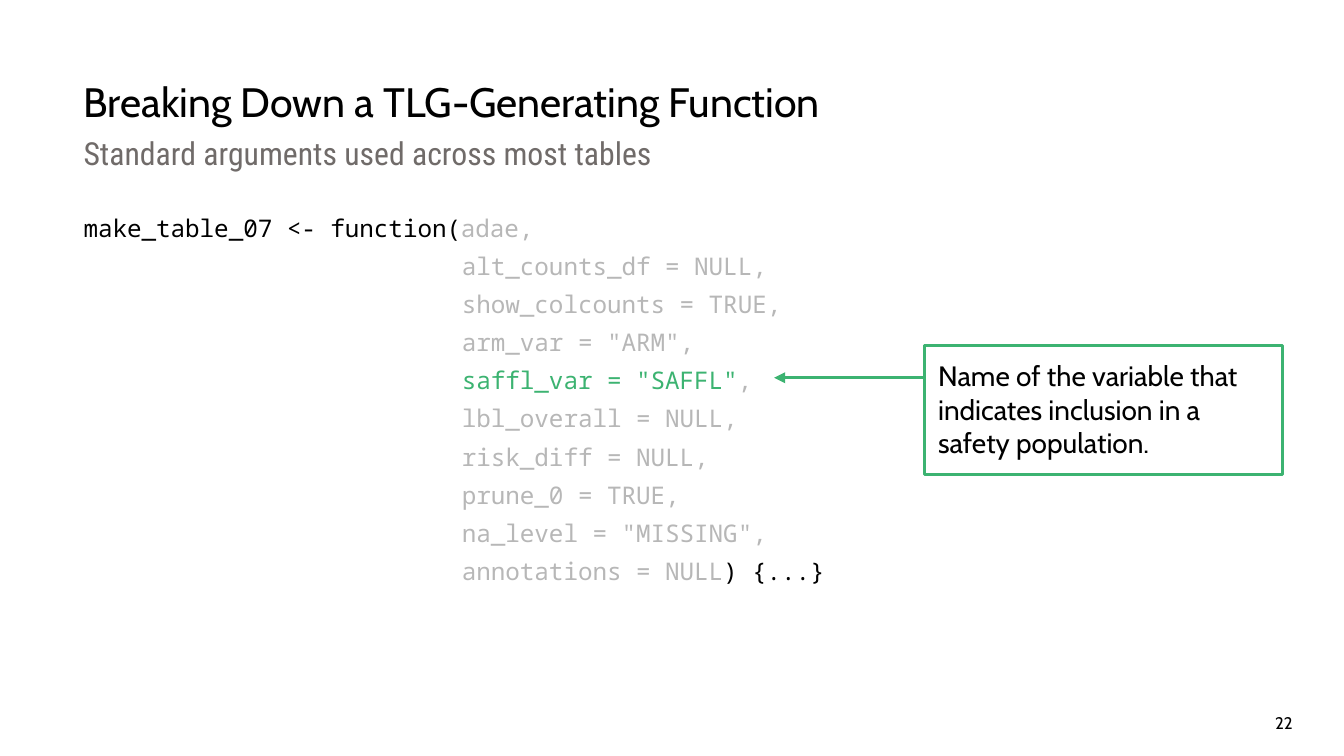
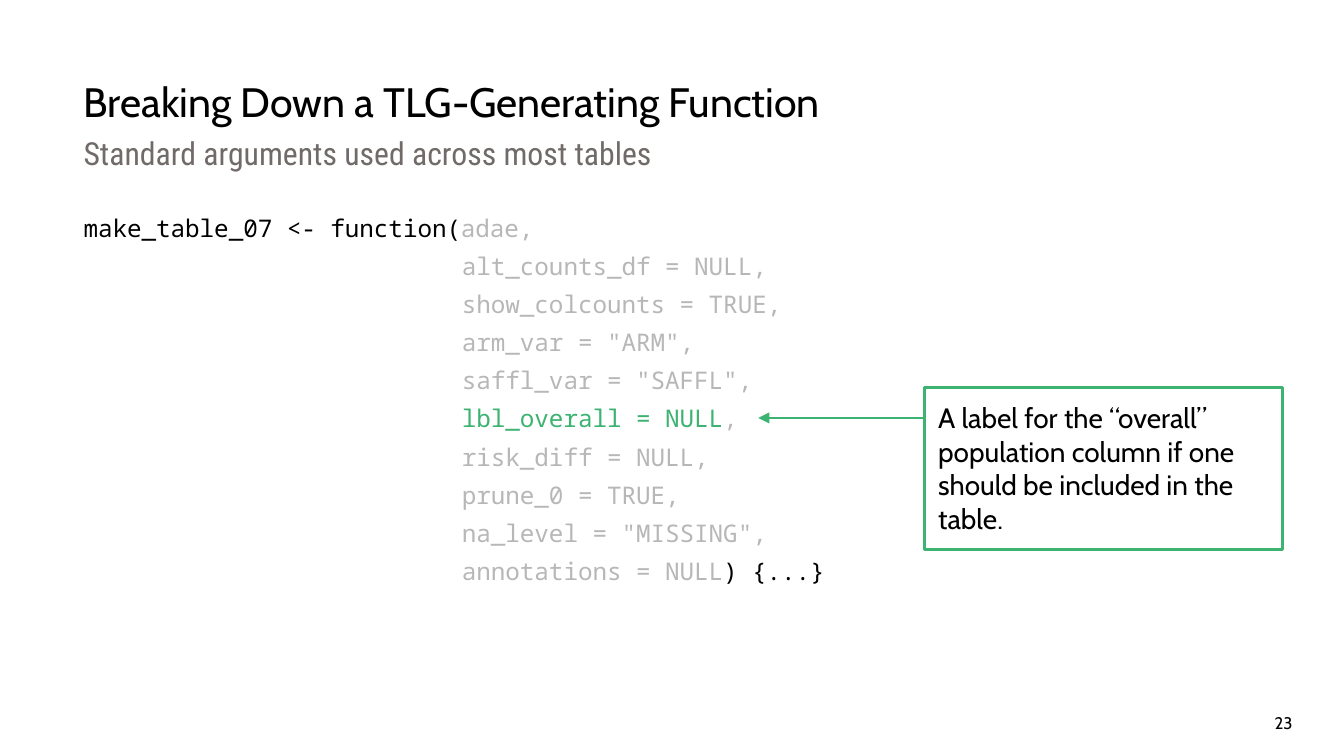
import pptx
import pptx.dml.color
import pptx.enum.shapes
import pptx.enum.text
import pptx.oxml.ns
import pptx.util
from lxml import etree
from pptx.util import Cm

BLACK = "000000"
GRAY = "B7B7B7"
GREEN = "3CB371"
SUBTITLE_GRAY = "706B69"
TITLE_FONT = "Cabin"
SUBTITLE_FONT = "Roboto Condensed"
CODE_FONT = "Noto Sans Mono"

INSET = 0.25
LEFT = 1.58
HEADING_WIDTH = 20.65
LINE_SPACING = 1.05
ARGUMENT_INDENT = 7.15
CALLOUT_LEFT = 17.48
CALLOUT_WIDTH = 6.76

TITLE = "Breaking Down a TLG-Generating Function"
SUBTITLE = "Standard arguments used across most tables"
OPENING = "make_table_07 <- function("
CLOSING = ") {...}"
ARGUMENTS = [
    "adae",
    "alt_counts_df = NULL",
    "show_colcounts = TRUE",
    "arm_var = \"ARM\"",
    "saffl_var = \"SAFFL\"",
    "lbl_overall = NULL",
    "risk_diff = NULL",
    "prune_0 = TRUE",
    "na_level = \"MISSING\"",
    "annotations = NULL",
]

SLIDES = [
    {
        "number": 22,
        "argument": "saffl_var = \"SAFFL\"",
        "note": "Name of the variable that indicates inclusion in a safety population.",
        "top": 6.53,
        "height": 2.44,
        "arrow_drop": 0.61,
        "arrow_tip": 14.63,
    },
    {
        "number": 23,
        "argument": "lbl_overall = NULL",
        "note": "A label for the “overall” population column if one should be included in the table.",
        "top": 7.32,
        "height": 3.07,
        "arrow_drop": 0.58,
        "arrow_tip": 14.33,
    },
]


def color(hex_text):
    """Return the RGB colour for a hex string."""
    return pptx.dml.color.RGBColor.from_string(hex_text)


def set_up_frame(shape, insets, anchor=pptx.enum.text.MSO_ANCHOR.TOP):
    """Wrap the text of a shape, set its insets in cm and return its frame."""
    frame = shape.text_frame
    frame.word_wrap = True
    frame.vertical_anchor = anchor
    left, top, right, bottom = insets
    frame.margin_left, frame.margin_top = Cm(left), Cm(top)
    frame.margin_right, frame.margin_bottom = Cm(right), Cm(bottom)
    return frame


def add_run(paragraph, text, font_name, size, hex_text):
    """Add one formatted run to a paragraph."""
    run = paragraph.add_run()
    run.text = text
    run.font.name = font_name
    run.font.size = pptx.util.Pt(size)
    run.font.color.rgb = color(hex_text)


def add_text_box(slide, box, insets, anchor=pptx.enum.text.MSO_ANCHOR.TOP):
    """Add a text box at a box in cm and return its frame."""
    shape = slide.shapes.add_textbox(*map(Cm, box))
    return set_up_frame(shape, insets, anchor)


def add_heading(slide, left, top, width):
    """Add the title with the subtitle below it."""
    title = add_text_box(slide, (left, top, width, 1.07), (0, INSET, INSET, INSET))
    add_run(title.paragraphs[0], TITLE, TITLE_FONT, 22, BLACK)
    subtitle = add_text_box(
        slide,
        (left, top + 1.27, width, 0.89),
        (0, 0, INSET, 0.05),
        pptx.enum.text.MSO_ANCHOR.MIDDLE,
    )
    paragraph = subtitle.paragraphs[0]
    paragraph.line_spacing = LINE_SPACING
    add_run(paragraph, SUBTITLE, SUBTITLE_FONT, 17, SUBTITLE_GRAY)


def add_code(slide, box, highlighted):
    """Add the function signature with one argument highlighted."""
    frame = add_text_box(slide, box, (0, 0, 0, 0))
    last = len(ARGUMENTS) - 1
    for index, argument in enumerate(ARGUMENTS):
        paragraph = frame.add_paragraph() if index else frame.paragraphs[0]
        paragraph.line_spacing = LINE_SPACING
        paragraph.space_before = pptx.util.Pt(4)
        if index:
            properties = paragraph._p.get_or_add_pPr()
            properties.set("marL", str(Cm(ARGUMENT_INDENT)))
            properties.set("indent", "0")
        else:
            add_run(paragraph, OPENING, CODE_FONT, 13, BLACK)
        comma = "," if index < last else ""
        if argument == highlighted:
            add_run(paragraph, argument, CODE_FONT, 13, GREEN)
            add_run(paragraph, comma, CODE_FONT, 13, GRAY)
        else:
            add_run(paragraph, argument + comma, CODE_FONT, 13, GRAY)
        if index == last:
            add_run(paragraph, CLOSING, CODE_FONT, 13, BLACK)


def add_callout(slide, box, note, arrow_drop, arrow_tip):
    """Add the outlined note and its arrow towards the code."""
    shape = slide.shapes.add_shape(
        pptx.enum.shapes.MSO_SHAPE.RECTANGLE, *map(Cm, box)
    )
    shape.shadow.inherit = False
    shape.fill.background()
    shape.line.color.rgb = color(GREEN)
    shape.line.width = pptx.util.Pt(1.5)
    frame = set_up_frame(shape, (INSET,) * 4)
    paragraph = frame.paragraphs[0]
    paragraph.alignment = pptx.enum.text.PP_ALIGN.LEFT
    add_run(paragraph, note, TITLE_FONT, 15, BLACK)

    left, top = box[:2]
    arrow_top = Cm(top + arrow_drop)
    arrow = slide.shapes.add_connector(
        pptx.enum.shapes.MSO_CONNECTOR.STRAIGHT,
        Cm(left), arrow_top, Cm(arrow_tip), arrow_top,
    )
    arrow.line.color.rgb = color(GREEN)
    arrow.line.width = pptx.util.Pt(1.5)
    qualified = pptx.oxml.ns.qn
    properties = arrow._element.spPr
    line = properties.find(qualified("a:ln"))
    etree.SubElement(line, qualified("a:tailEnd"), type="triangle")
    etree.SubElement(properties, qualified("a:effectLst"))


def add_page_number(slide, box, number):
    """Add the right-aligned page number."""
    frame = add_text_box(slide, box, (INSET, INSET, 0, 0))
    paragraph = frame.paragraphs[0]
    paragraph.alignment = pptx.enum.text.PP_ALIGN.RIGHT
    add_run(paragraph, str(number), TITLE_FONT, 9, BLACK)


def add_argument_slide(presentation, content):
    """Add a slide that explains one argument of the function."""
    slide = presentation.slides.add_slide(presentation.slide_layouts[6])
    slide.background.fill.solid()
    slide.background.fill.fore_color.rgb = color("FFFFFF")
    add_page_number(slide, (22.91, 13.23, 1.52, 0.71), content["number"])
    add_heading(slide, LEFT, 1.19, HEADING_WIDTH)
    add_code(slide, (LEFT, 4.01, 22.86, 9.35), content["argument"])
    add_callout(
        slide,
        (CALLOUT_LEFT, content["top"], CALLOUT_WIDTH, content["height"]),
        content["note"],
        content["arrow_drop"],
        content["arrow_tip"],
    )


def main():
    """Build the presentation and save it."""
    presentation = pptx.Presentation()
    presentation.slide_width = Cm(25.4)
    presentation.slide_height = Cm(14.29)
    for content in SLIDES:
        add_argument_slide(presentation, content)
    presentation.save("out.pptx")


if __name__ == "__main__":
    main()
